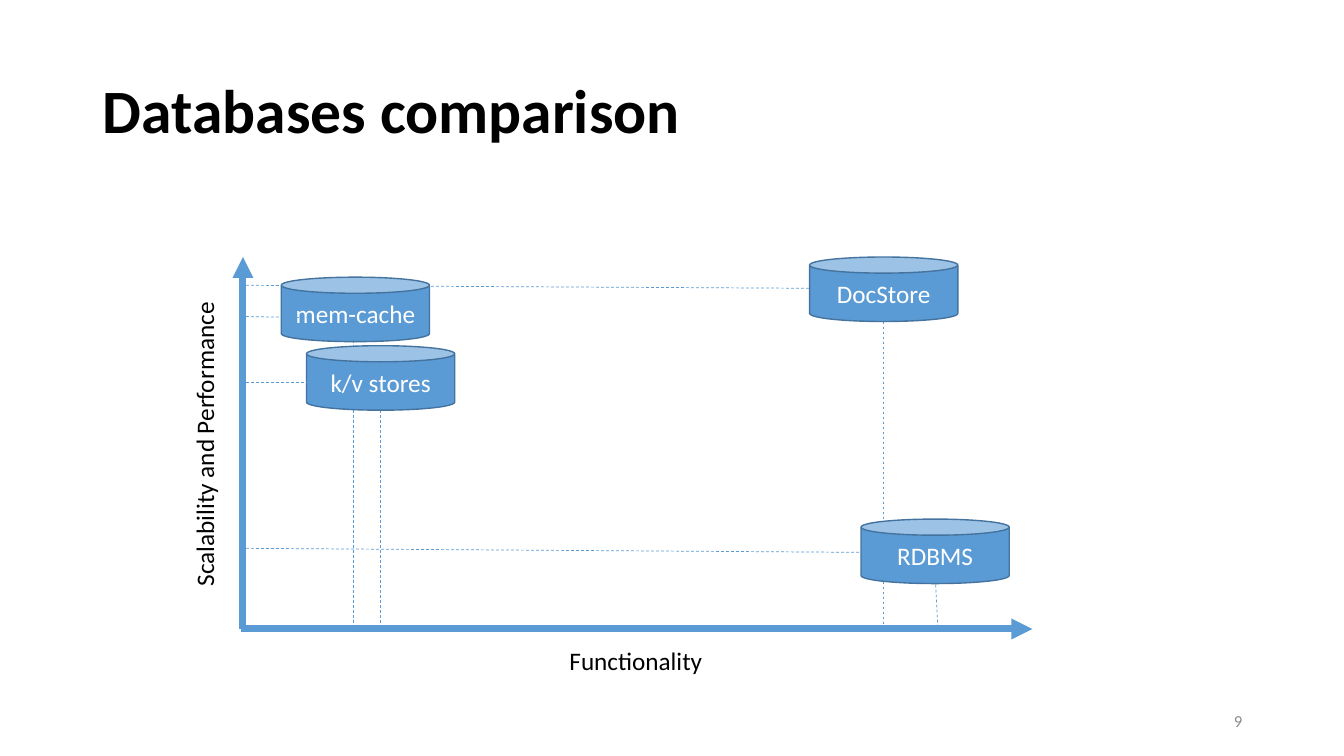
from dataclasses import dataclass

from lxml import etree
from pptx import Presentation
from pptx.dml.color import RGBColor
from pptx.enum.dml import MSO_LINE
from pptx.enum.shapes import MSO_CONNECTOR, MSO_SHAPE
from pptx.enum.text import MSO_ANCHOR, MSO_AUTO_SIZE, PP_ALIGN
from pptx.oxml.ns import qn
from pptx.shapes.connector import Connector
from pptx.slide import Slide
from pptx.text.text import TextFrame
from pptx.util import Pt

PX = 9144
BLUE = RGBColor(0x5B, 0x9B, 0xD5)
DARK_BLUE = RGBColor(0x43, 0x73, 0x9E)
BLACK = RGBColor(0, 0, 0)
WHITE = RGBColor(0xFF, 0xFF, 0xFF)
GREY = RGBColor(0x8C, 0x8C, 0x8C)
CAN_W, CAN_H = 147, 64


@dataclass(frozen=True)
class Line:
    x1: int
    y1: int
    x2: int
    y2: int


@dataclass(frozen=True)
class Database:
    name: str
    x: int
    y: int


@dataclass(frozen=True)
class Label:
    text: str
    x: int
    y: int
    w: int
    h: int = 40
    rotation: int = 0
    size: int = 18
    color: RGBColor = BLACK
    align: PP_ALIGN = PP_ALIGN.LEFT
    wrap: bool = False
    anchor: MSO_ANCHOR = MSO_ANCHOR.TOP


AXES = [Line(239, 624, 1024, 624), Line(241, 624, 241, 255)]
GUIDES = [
    Line(377, 407, 377, 624),
    Line(876, 319, 876, 624),
    Line(928, 580, 930, 620),
    Line(350, 337, 350, 620),
    Line(239, 283, 803, 286),
    Line(244, 544, 859, 548),
]
FRONT_GUIDES = [Line(239, 379, 304, 379), Line(239, 314, 304, 315)]
DATABASES = [
    Database("mem-cache", 279, 275),
    Database("k/v stores", 304, 343),
    Database("DocStore", 803, 255),
    Database("RDBMS", 854, 515),
]
AXIS_LABELS = [
    Label("Scalability and Performance", 50, 419, 305, rotation=270),
    Label("Functionality", 555, 635, 153),
]
PAGE_NUMBER = Label("9", 942, 695, 300, size=12, color=GREY,
                    align=PP_ALIGN.RIGHT, wrap=True, anchor=MSO_ANCHOR.MIDDLE)


def set_text(tf: TextFrame, text: str, size: int, color: RGBColor,
             align: PP_ALIGN, bold: bool = False) -> None:
    p = tf.paragraphs[0]
    p.alignment = align
    r = p.add_run()
    r.text = text
    font = {"name": "Calibri", "size": Pt(size), "bold": bold}
    for key, value in font.items():
        setattr(r.font, key, value)
    r.font.color.rgb = color


def add_line(s: Slide, line: Line, width: float) -> Connector:
    ends = (line.x1, line.y1, line.x2, line.y2)
    cx = s.shapes.add_connector(MSO_CONNECTOR.STRAIGHT, *(v * PX for v in ends))
    cx.line.color.rgb = BLUE
    cx.line.width = Pt(width)
    etree.SubElement(cx._element.spPr, qn("a:effectLst"))
    return cx


def add_axis(s: Slide, line: Line) -> None:
    cx = add_line(s, line, 5)
    ln = cx.line._get_or_add_ln()
    etree.SubElement(ln, qn("a:tailEnd"), type="triangle")


def add_guide(s: Slide, line: Line) -> None:
    add_line(s, line, 0.5).line.dash_style = MSO_LINE.DASH


def add_database(s: Slide, db: Database) -> None:
    sp = s.shapes.add_shape(MSO_SHAPE.CAN, db.x * PX, db.y * PX,
                            CAN_W * PX, CAN_H * PX)
    sp.shadow.inherit = False
    sp.fill.solid()
    sp.fill.fore_color.rgb = BLUE
    sp.line.color.rgb = DARK_BLUE
    sp.line.width = Pt(1)
    sp.text_frame.vertical_anchor = MSO_ANCHOR.MIDDLE
    set_text(sp.text_frame, db.name, 18, WHITE, PP_ALIGN.CENTER)


def add_label(s: Slide, label: Label) -> None:
    sp = s.shapes.add_textbox(label.x * PX, label.y * PX,
                              label.w * PX, label.h * PX)
    sp.rotation = label.rotation
    tf = sp.text_frame
    tf.word_wrap = label.wrap
    tf.vertical_anchor = label.anchor
    set_text(tf, label.text, label.size, label.color, label.align)


def add_title(s: Slide, text: str) -> None:
    sp = s.shapes.title
    place = {"left": 92, "top": 40, "width": 1150, "height": 145}
    for key, value in place.items():
        setattr(sp, key, value * PX)
    tf = sp.text_frame
    tf.auto_size = MSO_AUTO_SIZE.NONE
    tf.vertical_anchor = MSO_ANCHOR.MIDDLE
    set_text(tf, text, 44, BLACK, PP_ALIGN.LEFT, bold=True)
    tf.paragraphs[0].line_spacing = 0.9


def main() -> None:
    prs = Presentation()
    prs.slide_width, prs.slide_height = 1333 * PX, 750 * PX
    s = prs.slides.add_slide(prs.slide_layouts[5])
    add_title(s, "Databases comparison")
    for axis in AXES:
        add_axis(s, axis)
    for label in AXIS_LABELS:
        add_label(s, label)
    for guide in GUIDES:
        add_guide(s, guide)
    for db in DATABASES:
        add_database(s, db)
    for guide in FRONT_GUIDES:
        add_guide(s, guide)
    add_label(s, PAGE_NUMBER)
    prs.save("out.pptx")


if __name__ == "__main__":
    main()
